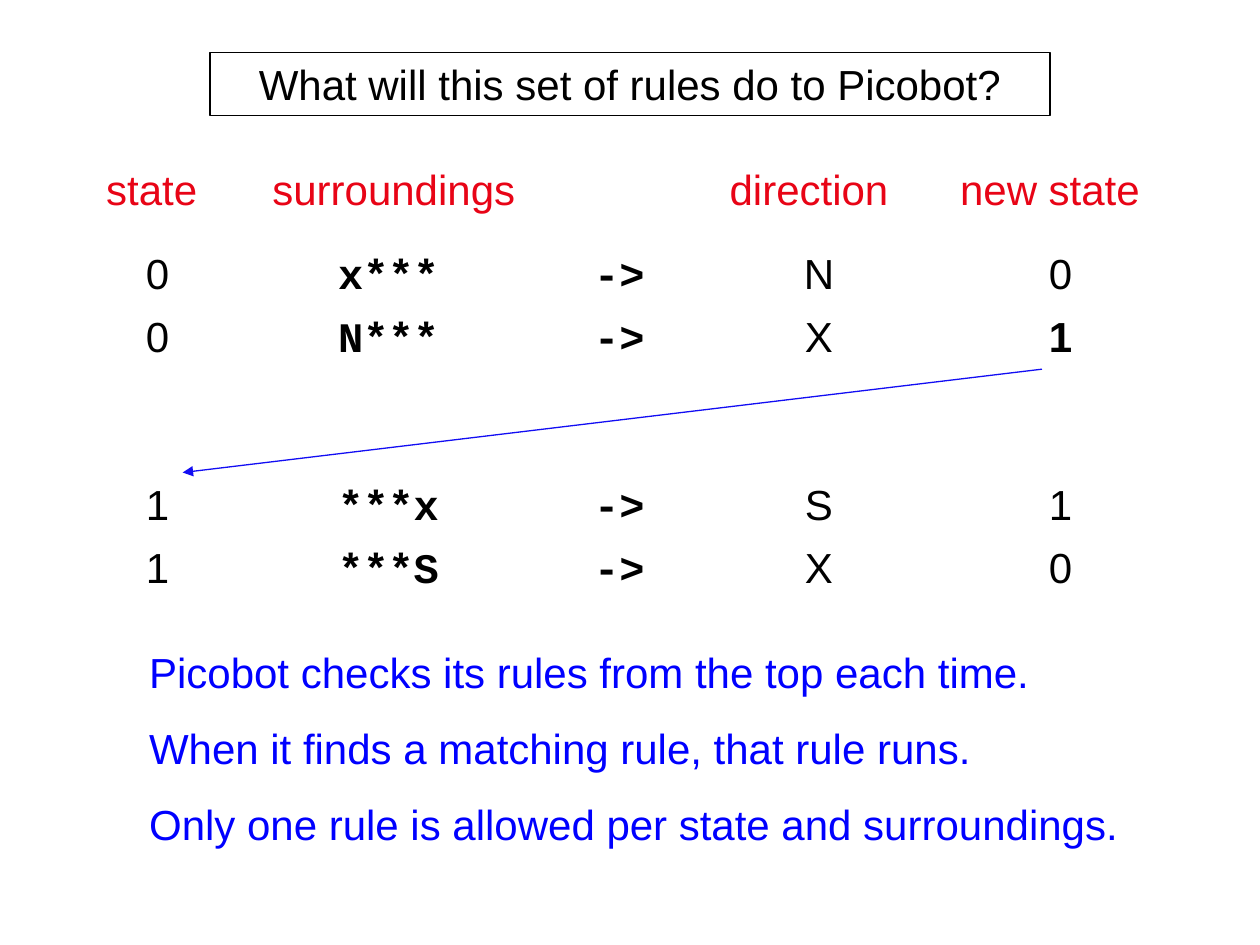
from lxml.etree import SubElement
from pptx import Presentation
from pptx.dml.color import RGBColor
from pptx.enum.shapes import MSO_CONNECTOR
from pptx.enum.text import MSO_ANCHOR, MSO_AUTO_SIZE, PP_ALIGN
from pptx.oxml.ns import qn
from pptx.util import Inches, Pt

BLACK, RED, BLUE, ARROW_BLUE = "000000", "E80416", "0000FF", "120DF3"
SANS, MONO = "Arial", "Courier New"
UNIT = 1 / 12
ROW_HEIGHT = 6

TITLE = "What will this set of rules do to Picobot?"
NOTES = [
    "Picobot checks its rules from the top each time.",
    "When it finds a matching rule, that rule runs.",
    "Only one rule is allowed per state and surroundings.",
]
HEADERS = [
    ("state", 5.4, 18.1),
    ("surroundings", 22, 31),
    ("direction", 68, 18.1),
    ("new state", 88, 24),
]
HEADER_TOP = 15
COLUMNS = [(10, 10, SANS), (28, 18, MONO), (50, 18, MONO), (69, 18, SANS), (92, 18, SANS)]
RULE_GROUPS = [
    (23, [("0", "x***", "->", "N", "0"), ("0", "N***", "->", "X", "1")]),
    (45, [("1", "***x", "->", "S", "1"), ("1", "***S", "->", "X", "0")]),
]
BOLD_CELL = (29, 92)


def grid(value):
    return Inches(value * UNIT)


def color(value):
    return RGBColor.from_string(value)


def place(shape, left, top, width, height):
    shape.left, shape.top = grid(left), grid(top)
    shape.width, shape.height = grid(width), grid(height)


def write(shape, text, ink, font=SANS, bold=False, align=PP_ALIGN.CENTER):
    frame = shape.text_frame
    frame.text = text
    frame.word_wrap = True
    frame.auto_size = MSO_AUTO_SIZE.NONE
    frame.vertical_anchor = MSO_ANCHOR.TOP
    for para in frame.paragraphs:
        para.alignment = align
        for span in para.runs:
            span.font.name = font
            span.font.size = Pt(24)
            span.font.bold = bold
            span.font.color.rgb = color(ink)


def add_label(slide, text, left, top, width, ink, font=SANS, bold=False):
    box = slide.shapes.add_textbox(grid(left), grid(top), grid(width), grid(ROW_HEIGHT))
    write(box, text, ink, font, bold)


def add_arrow(slide, start, end):
    arrow = slide.shapes.add_connector(MSO_CONNECTOR.STRAIGHT, *map(Inches, start + end))
    arrow.line.color.rgb = color(ARROW_BLUE)
    arrow.line.width = Pt(0.75)
    SubElement(arrow.line._get_or_add_ln(), qn("a:tailEnd"), type="triangle")
    SubElement(arrow._element.spPr, qn("a:effectLst"))


def main():
    deck = Presentation()
    deck.slide_width, deck.slide_height = Inches(10), Inches(7.5)
    slide = deck.slides.add_slide(deck.slide_layouts[1])

    title, notes = slide.placeholders
    place(title, 20, 5, 80, ROW_HEIGHT)
    write(title, TITLE, BLACK)
    title.line.color.rgb = color(BLACK)
    title.line.width = Pt(0.75)

    place(notes, 13, 61, 99, 20)
    write(notes, "\n".join(NOTES), BLUE, align=PP_ALIGN.LEFT)
    for index, para in enumerate(notes.text_frame.paragraphs):
        para.space_before = Pt(14.5 if index else 0)
        properties = para._p.get_or_add_pPr()
        properties.set("marL", "0")
        properties.set("indent", "0")
        SubElement(properties, qn("a:buNone"))

    for text, left, width in HEADERS:
        add_label(slide, text, left, HEADER_TOP, width, RED)

    for group_top, rules in RULE_GROUPS:
        for row, rule in enumerate(rules):
            top = group_top + row * ROW_HEIGHT
            for text, (left, width, font) in zip(rule, COLUMNS):
                bold = font == MONO or (top, left) == BOLD_CELL
                add_label(slide, text, left, top, width, BLACK, font, bold)

    add_arrow(slide, (8.27, 2.93), (1.45, 3.75))
    deck.save("out.pptx")


if __name__ == "__main__":
    main()
